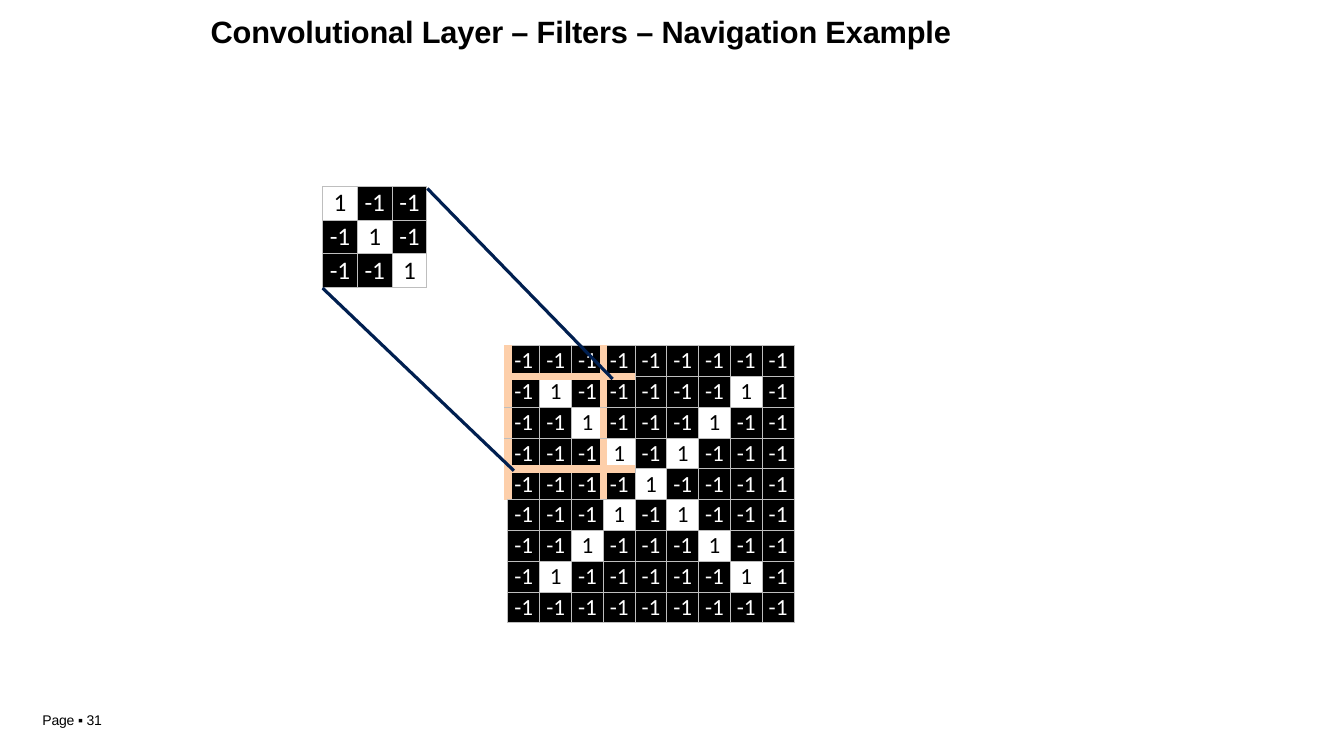
from lxml import etree
from pptx import Presentation
from pptx.dml.color import RGBColor
from pptx.enum.shapes import MSO_CONNECTOR
from pptx.enum.text import MSO_ANCHOR, MSO_AUTO_SIZE, PP_ALIGN
from pptx.oxml.ns import qn
from pptx.util import Cm, Pt

STRAIGHT = MSO_CONNECTOR.STRAIGHT
TOP, MIDDLE = MSO_ANCHOR.TOP, MSO_ANCHOR.MIDDLE
NO_AUTOFIT = MSO_AUTO_SIZE.NONE
LEFT, CENTER = PP_ALIGN.LEFT, PP_ALIGN.CENTER

BLACK = RGBColor(0x00, 0x00, 0x00)
WHITE = RGBColor(0xFF, 0xFF, 0xFF)
GREY = RGBColor(0xBE, 0xBE, 0xBE)
PEACH = RGBColor(0xFD, 0xCF, 0xAA)
NAVY = RGBColor(0x00, 0x1F, 0x50)
TITLE_LAYOUT = 5
IMAGE_SIZE = 9
FILTER_SIZE = 3


def grid_edges(row, col):
    return {}


def window_edges(row, col):
    """Sides of a cell that lie on the highlighted filter window."""
    if row > FILTER_SIZE + 1 or col > FILTER_SIZE:
        return {}
    sides = {
        "L": col in (0, FILTER_SIZE),
        "R": col == FILTER_SIZE - 1,
        "T": row in (1, FILTER_SIZE + 1),
        "B": row in (0, FILTER_SIZE),
    }
    return {side: (PEACH, 6) for side, marked in sides.items() if marked}


class SlideBuilder:
    heading_font = "Arial"
    pixel_font = "Calibri"

    def __init__(self, slide):
        self.slide = slide

    def fill_text(self, frame, text, size, bold=False):
        frame.margin_left = frame.margin_right = frame.margin_bottom = 0
        frame.margin_top = Cm(0.03)
        frame.vertical_anchor = TOP
        frame.auto_size = NO_AUTOFIT
        frame.word_wrap = False
        paragraph = frame.paragraphs[0]
        paragraph.alignment = LEFT
        run = paragraph.add_run()
        run.text = text
        run._r.get_or_add_rPr().set("spc", "-10")
        self.style_font(paragraph.font, self.heading_font, size, BLACK, bold)

    def style_font(self, font, name, size, color, bold=False):
        font.name, font.size, font.bold = name, Pt(size), bold
        font.color.rgb = color

    def title(self, text, left, top, width, height):
        heading = self.slide.shapes.title
        heading.left, heading.top = Cm(left), Cm(top)
        heading.width, heading.height = Cm(width), Cm(height)
        self.fill_text(heading.text_frame, text, 22, bold=True)

    def label(self, text, left, top, width, height):
        box = self.slide.shapes.add_textbox(Cm(left), Cm(top), Cm(width), Cm(height))
        self.fill_text(box.text_frame, text, 10)

    def pixel_grid(self, count, left, top, width, height, size, is_lit, edges):
        """Square table of 1 (lit) and -1 pixels; edges gives special borders."""
        table = self.slide.shapes.add_table(
            count, count, Cm(left), Cm(top), Cm(width), Cm(height)).table
        table.first_row = table.horz_banding = False
        for row in range(count):
            for col in range(count):
                self.pixel(table.cell(row, col), is_lit(row, col), size, edges(row, col))

    def pixel(self, cell, lit, size, edges):
        cell.margin_left = cell.margin_right = cell.margin_top = cell.margin_bottom = 0
        cell.vertical_anchor = MIDDLE
        for side in "LRTB":
            self.border(cell, side, *edges.get(side, (GREY, 0.75)))
        cell.fill.solid()
        cell.fill.fore_color.rgb = WHITE if lit else BLACK
        value = cell.text_frame.paragraphs[0]
        value.text = "1" if lit else "-1"
        value.alignment = CENTER
        self.style_font(value.font, self.pixel_font, size, BLACK if lit else WHITE)

    def border(self, cell, side, color, width):
        properties = cell._tc.get_or_add_tcPr()
        line = etree.SubElement(properties, qn(f"a:ln{side}"), w=str(Pt(width)))
        fill = etree.SubElement(line, qn("a:solidFill"))
        etree.SubElement(fill, qn("a:srgbClr"), val=str(color))

    def guide(self, x1, y1, x2, y2):
        line = self.slide.shapes.add_connector(STRAIGHT, Cm(x1), Cm(y1), Cm(x2), Cm(y2))
        line.line.color.rgb = NAVY
        line.line.width = Pt(2.28)
        etree.SubElement(line._element.spPr, qn("a:effectLst"))


def main():
    deck = Presentation()
    deck.slide_width, deck.slide_height = Cm(33.87), Cm(19.05)
    builder = SlideBuilder(deck.slides.add_slide(deck.slide_layouts[TITLE_LAYOUT]))

    builder.title("Convolutional Layer – Filters – Navigation Example", 5.31, 0.3, 19, 0.97)
    builder.pixel_grid(FILTER_SIZE, 8.13, 4.7, 2.63, 2.54, 18,
                       lambda row, col: row == col, grid_edges)
    last = IMAGE_SIZE - 1
    builder.pixel_grid(IMAGE_SIZE, 12.8, 8.71, 7.21, 6.99, 16.5,
                       lambda row, col: 0 < row < last and col in (row, last - row),
                       window_edges)
    builder.guide(10.77, 4.75, 15.44, 9.55)
    builder.guide(8.13, 7.26, 12.95, 11.86)
    builder.label("Page ▪ 31", 1.07, 17.9, 1.7, 0.43)

    deck.save("out.pptx")


if __name__ == "__main__":
    main()
